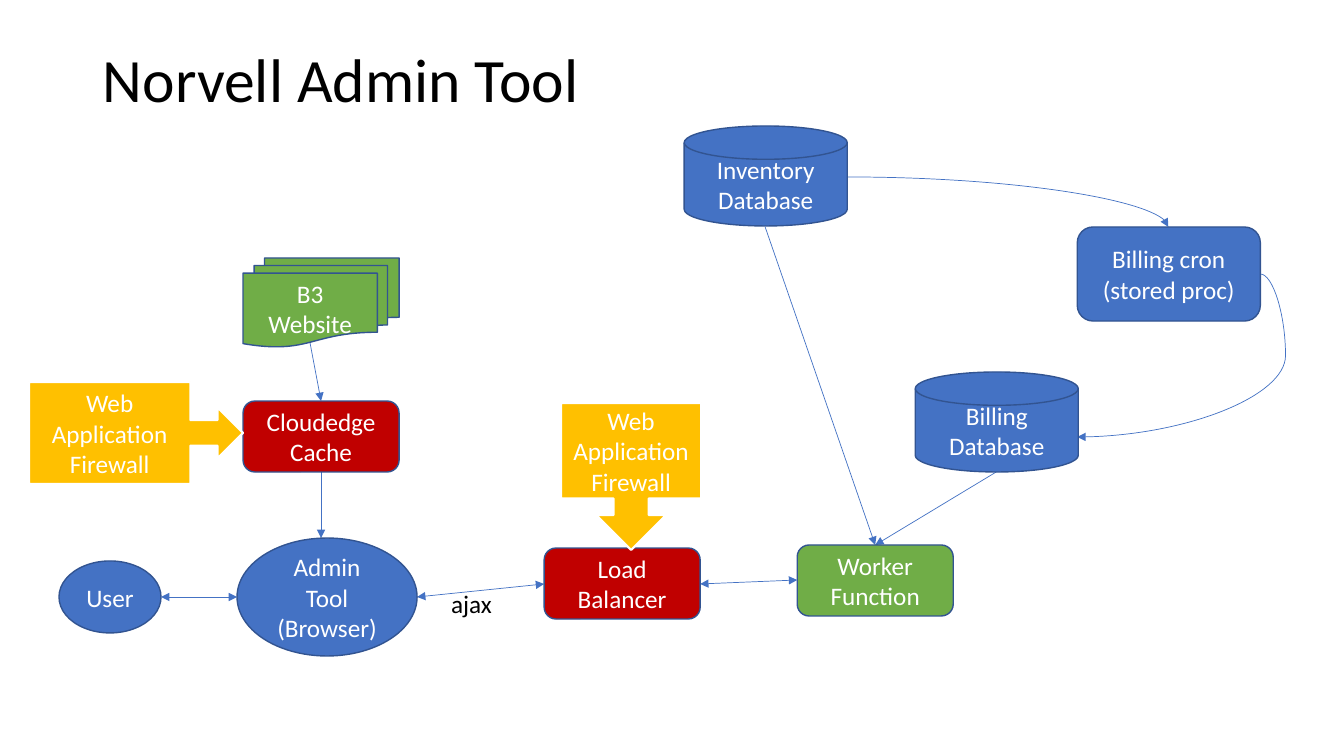
from typing import NamedTuple

from pptx import Presentation, util as u
from pptx.dml.color import RGBColor
from pptx.enum import shapes, text
from pptx.oxml.ns import qn

SCALE = 914400 / 100.8
FONT = "Calibri"
BLUE, RED, GREEN, GOLD = "4472C4", "C00000", "70AD47", "FFC000"
EDGE, WHITE, BLACK = "325491", "FFFFFF", "000000"
KIND = shapes.MSO_SHAPE
WIRE = shapes.MSO_CONNECTOR
CARD = (156, 71)
DISK = (163, 100)


class Node(NamedTuple):
    """A labelled shape; each label is one paragraph."""
    kind: KIND
    spot: tuple[int, int]
    size: tuple[int, int]
    fill: str
    labels: tuple[str, ...]
    edge: str = EDGE
    width: float = 1
    adj: tuple[float, ...] = ()


class Link(NamedTuple):
    """An arrow from one point to another."""
    start: tuple[int, int]
    end: tuple[int, int]
    both: bool = False
    curve: str = ""
    bend: int = 0


NODES = [
    Node(KIND.OVAL, (59, 561), (102, 72), BLUE, ("User",)),
    Node(KIND.OVAL, (237, 538), (180, 118), BLUE, ("Admin Tool (Browser)",)),
    Node(KIND.ROUNDED_RECTANGLE, (243, 401), CARD, RED, ("Cloudedge Cache",)),
    Node(KIND.FLOWCHART_MULTIDOCUMENT, (243, 258), (156, 89), GREEN, ("B3 Website",)),
    Node(KIND.ROUNDED_RECTANGLE, (544, 548), CARD, RED, ("Load Balancer",)),
    Node(KIND.ROUNDED_RECTANGLE, (797, 545), CARD, GREEN, ("Worker Function",)),
    Node(KIND.FLOWCHART_MAGNETIC_DISK, (915, 372), DISK, BLUE, ("Billing Database",)),
    Node(KIND.FLOWCHART_MAGNETIC_DISK, (684, 126), DISK, BLUE, ("Inventory Database",)),
    Node(KIND.ROUNDED_RECTANGLE, (1077, 227), (183, 94), BLUE,
         ("Billing cron (stored proc)",)),
    Node(KIND.DOWN_ARROW_CALLOUT, (561, 403), (140, 147), GOLD,
         ("Web Application", "Firewall"), WHITE, 1.5),
    Node(KIND.RIGHT_ARROW_CALLOUT, (29, 382), (214, 102), GOLD,
         ("Web Application Firewall",), WHITE, 1.5, (0.25, 0.25, 0.25, 0.754)),
]

LINKS = [
    Link((310, 343), (321, 401)),
    Link((321, 472), (321, 538)),
    Link((417, 597), (544, 584), both=True),
    Link((700, 584), (797, 580), both=True),
    Link((161, 597), (237, 597), both=True),
    Link((765, 227), (875, 545)),
    Link((996, 472), (875, 545)),
    Link((847, 177), (1168, 227), curve="curvedConnector2"),
    Link((1260, 274), (1077, 437), curve="curvedConnector3", bend=-13800),
]


def px(*nums: int) -> list[int]:
    """Turn pixels into EMU."""
    return [round(n * SCALE) for n in nums]


def rgb(code: str) -> RGBColor:
    """Turn a hex string into a colour."""
    return RGBColor.from_string(code)


def write(para, words: str, size: float, color: str) -> None:
    """Add one run to a paragraph."""
    run = para.add_run()
    run.text = words
    run.font.name, run.font.size = FONT, u.Pt(size)
    run.font.color.rgb = rgb(color)


def draw(slide, node: Node) -> None:
    """Draw a shape with its centred label."""
    shape = slide.shapes.add_shape(node.kind, *px(*node.spot, *node.size))
    shape.shadow.inherit = False
    for i, value in enumerate(node.adj):
        shape.adjustments[i] = value
    shape.fill.solid()
    shape.fill.fore_color.rgb = rgb(node.fill)
    shape.line.color.rgb = rgb(node.edge)
    shape.line.width = u.Pt(node.width)
    frame = shape.text_frame
    frame.word_wrap = True
    frame.vertical_anchor = text.MSO_ANCHOR.MIDDLE
    for i, label in enumerate(node.labels):
        para = frame.add_paragraph() if i else frame.paragraphs[0]
        para.alignment = text.PP_ALIGN.CENTER
        write(para, label, 18, WHITE)


def join(slide, link: Link) -> None:
    """Draw a straight or curved arrow."""
    kind = WIRE.CURVE if link.curve else WIRE.STRAIGHT
    wire = slide.shapes.add_connector(kind, *px(*link.start, *link.end))
    wire.line.color.rgb = rgb(BLUE)
    wire.line.width = u.Pt(0.5)
    props = wire.element.spPr
    ends = ("a:headEnd", "a:tailEnd") if link.both else ("a:tailEnd",)
    for end in ends:
        tip = props.makeelement(qn(end), {"type": "triangle"})
        props.find(qn("a:ln")).append(tip)
    props.append(props.makeelement(qn("a:effectLst"), {}))
    if link.curve:
        geom = props.find(qn("a:prstGeom"))
        geom.set("prst", link.curve)
        if link.bend:
            guide = {"name": "adj1", "fmla": f"val {link.bend}"}
            geom.find(qn("a:avLst")).append(geom.makeelement(qn("a:gd"), guide))


def note(slide, words: str, box: tuple[int, int, int, int], size: float):
    """Add a plain text box and return its frame."""
    frame = slide.shapes.add_textbox(*px(*box)).text_frame
    write(frame.paragraphs[0], words, size, BLACK)
    return frame


def main() -> None:
    """Build the slide and save it."""
    deck = Presentation()
    deck.slide_width, deck.slide_height = u.Inches(13.33), u.Inches(7.5)
    slide = deck.slides.add_slide(deck.slide_layouts[6])
    title = note(slide, "Norvell Admin Tool", (93, 40, 1159, 85), 44)
    title.word_wrap = True
    title.vertical_anchor = text.MSO_ANCHOR.MIDDLE
    title.paragraphs[0].line_spacing = 0.9
    for link in LINKS:
        join(slide, link)
    for node in NODES:
        draw(slide, node)
    ajax = note(slide, "ajax", (441, 583, 61, 40), 18)
    ajax.word_wrap = False
    ajax.auto_size = text.MSO_AUTO_SIZE.SHAPE_TO_FIT_TEXT
    deck.save("out.pptx")


main()
